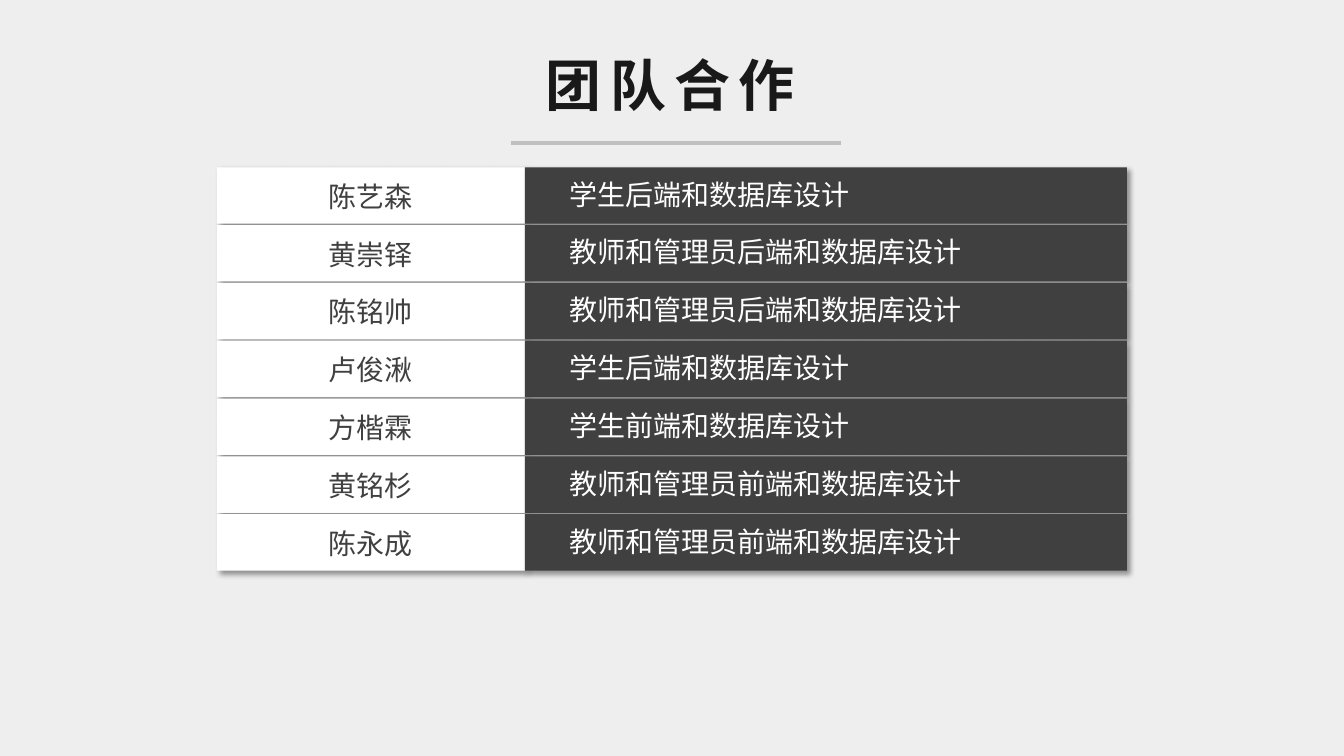
"""Builds the team work slide: a title above rows of members and their tasks."""
from lxml import etree
from pptx import Presentation
from pptx import util as u
from pptx.dml.color import RGBColor
from pptx.enum import shapes, text
from pptx.oxml.ns import qn

TITLE = "团队合作"
MEMBERS = [
    ("陈艺森", "学生后端和数据库设计"),
    ("黄崇铎", "教师和管理员后端和数据库设计"),
    ("陈铭帅", "教师和管理员后端和数据库设计"),
    ("卢俊湫", "学生后端和数据库设计"),
    ("方楷霖", "学生前端和数据库设计"),
    ("黄铭杉", "教师和管理员前端和数据库设计"),
    ("陈永成", "教师和管理员前端和数据库设计"),
]
PAPER, INK, RULE, WHITE, DARK = "EEEEEE", "191919", "BFBFBF", "FFFFFF", "404040"
LATIN, CHINESE = "Arial", "Noto Sans CJK SC"
NAME_LEFT, NAME_WIDTH = 155, 220
TASK_LEFT, TASK_WIDTH = 375, 430
FIRST_TOP, ROW_STEP, ROW_HEIGHT = 119.5, 41.3, 40.3


def paint(color_format, color):
    color_format.rgb = RGBColor.from_string(color)


def add_panel(group, left, top, width, color):
    panel = group.shapes.add_shape(
        shapes.MSO_SHAPE.RECTANGLE, u.Pt(left), u.Pt(top), u.Pt(width), u.Pt(ROW_HEIGHT))
    panel.fill.solid()
    paint(panel.fill.fore_color, color)
    panel.line.fill.background()
    panel.shadow.inherit = False
    effects = panel._element.spPr.find(qn("a:effectLst"))
    shadow = etree.SubElement(
        effects, qn("a:outerShdw"), blurRad=str(u.Pt(4)), dist=str(u.Pt(3)),
        dir=str(45 * 60000), algn="tl", rotWithShape="0")
    shade = etree.SubElement(shadow, qn("a:srgbClr"), val="000000")
    etree.SubElement(shade, qn("a:alpha"), val="40000")


def add_label(parent, words, left, top, width, height, size, color, font, centred):
    box = parent.shapes.add_textbox(u.Pt(left), u.Pt(top), u.Pt(width), u.Pt(height))
    box.text_frame.word_wrap = True
    box.text_frame.auto_size = text.MSO_AUTO_SIZE.SHAPE_TO_FIT_TEXT
    para = box.text_frame.paragraphs[0]
    para.alignment = text.PP_ALIGN.CENTER if centred else text.PP_ALIGN.LEFT
    span = para.add_run()
    span.text = words
    span.font.size = u.Pt(size)
    span.font.name = font
    paint(span.font.color, color)
    etree.SubElement(span.font._element, qn("a:ea"), typeface=CHINESE)
    return span


def add_title(page):
    span = add_label(page, TITLE, 356.4, 32.4, 244.8, 55.4, 40, INK, LATIN, True)
    span.font.bold = True
    span.font._element.set("spc", "600")
    rule = page.shapes.add_connector(
        shapes.MSO_CONNECTOR.STRAIGHT, u.Pt(365), u.Pt(102), u.Pt(601), u.Pt(102))
    rule.line.width = u.Pt(3)
    paint(rule.line.color, RULE)
    etree.SubElement(rule._element.spPr, qn("a:effectLst"))


def add_member(page, row, name, task):
    top = FIRST_TOP + row * ROW_STEP
    group = page.shapes.add_group_shape()
    add_panel(group, NAME_LEFT, top, NAME_WIDTH, WHITE)
    add_panel(group, TASK_LEFT, top, TASK_WIDTH, DARK)
    add_label(group, task, 399.6, top + 3.5, 400, 31.5, 20, WHITE, CHINESE, False)
    add_label(group, name, NAME_LEFT, top + 5, NAME_WIDTH, 31.5, 20, DARK, LATIN, True)


def main():
    deck = Presentation()
    deck.slide_width, deck.slide_height = u.Pt(960), u.Pt(540)
    page = deck.slides.add_slide(deck.slide_layouts[6])
    page.background.fill.solid()
    paint(page.background.fill.fore_color, PAPER)
    add_title(page)
    for row, (name, task) in enumerate(MEMBERS):
        add_member(page, row, name, task)
    deck.save("out.pptx")


if __name__ == "__main__":
    main()
